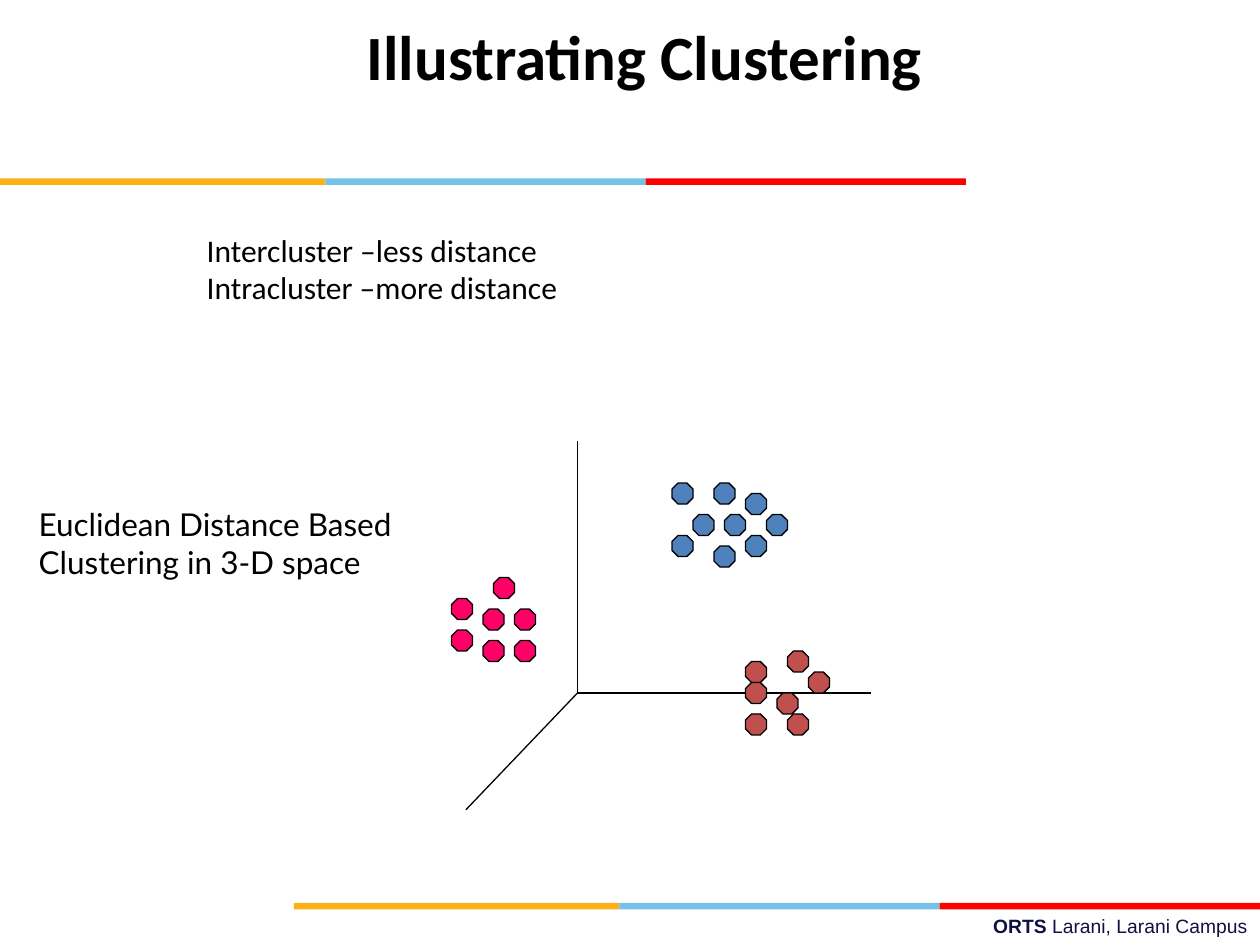
from pptx import Presentation
from pptx.dml.color import RGBColor
from pptx.enum.shapes import MSO_CONNECTOR, MSO_SHAPE
from pptx.enum.text import MSO_ANCHOR, PP_ALIGN
from pptx.oxml.ns import qn
from pptx.util import Pt
from lxml import etree

PX = 9525  # 96 px to the inch
STEP = 8  # grid step of the plot, in px
DOT = 2 * STEP
STRAIGHT = MSO_CONNECTOR.STRAIGHT
RECTANGLE, OCTAGON = MSO_SHAPE.RECTANGLE, MSO_SHAPE.OCTAGON
TOP, MIDDLE = MSO_ANCHOR.TOP, MSO_ANCHOR.MIDDLE
LEFT, CENTER, RIGHT = PP_ALIGN.LEFT, PP_ALIGN.CENTER, PP_ALIGN.RIGHT

COLORS = {
    "black": "000000", "navy": "101141",
    "gold": "FCB017", "sky": "76C2E5", "red": "FF0000",
    "blue": "4F81BD", "pink": "FF0066", "brick": "C0504D",
}
# Each cluster: dot positions as (column, row) on the plot grid
CLUSTERS = {
    "blue": [(23, 7), (26, 7), (25, 4), (25, 10), (30, 7), (28, 5),
             (21, 4), (28, 9), (21, 9)],
    "pink": [(0, 15), (3, 16), (3, 19), (6, 16), (4, 13), (6, 19), (0, 18)],
    "brick": [(28, 21), (34, 22), (31, 24), (28, 26), (32, 26), (28, 23),
              (32, 20)],
}


def color(name):
    return RGBColor.from_string(COLORS[name])


def emu(*lengths):
    return [length * PX for length in lengths]


def add_block(page, kind, box, fill, outlined=False):
    shape = page.shapes.add_shape(kind, *emu(*box))
    shape.shadow.inherit = False
    shape.fill.solid()
    shape.fill.fore_color.rgb = color(fill)
    if outlined:
        shape.line.color.rgb = color("black")
        shape.line.width = Pt(0.75)
    else:
        shape.line.fill.background()
    return shape


def add_text(page, box, lines, font, size, ink="black", bold=False,
             align=LEFT, anchor=TOP):
    """Each line is a list of (text, bold) spans or a plain string."""
    frame = page.shapes.add_textbox(*emu(*box)).text_frame
    frame.word_wrap = True
    frame.vertical_anchor = anchor
    for index, line in enumerate(lines):
        para = frame.add_paragraph() if index else frame.paragraphs[0]
        para.alignment = align
        para.font.name = font
        para.font.size = Pt(size)
        para.font.color.rgb = color(ink)
        para.font.bold = bold
        spans = [(line, bold)] if isinstance(line, str) else line
        for text, heavy in spans:
            span = para.add_run()
            span.text = text
            if heavy != bold:
                span.font.bold = heavy


def add_stripe(page, box):
    left, top, width, height = box
    first = 248
    rest = (width - first) // 2
    for name, part in (("gold", first), ("sky", rest), ("red", rest)):
        add_block(page, RECTANGLE, (left, top, part, height), name)
        left += part


def add_axis(page, start, end):
    axis = page.shapes.add_connector(STRAIGHT, *emu(*start, *end))
    axis.line.color.rgb = color("black")
    axis.line.width = Pt(0.75)
    etree.SubElement(axis._element.spPr, qn("a:effectLst"))


def add_plot(page, box):
    left, top, width, height = box
    origin = (left + 12 * STEP, top + 24 * STEP)
    # Axes: up, right and towards the viewer
    add_axis(page, (origin[0], top), origin)
    add_axis(page, origin, (left + width, origin[1]))
    add_axis(page, origin, (left + 11, top + height))
    # Dots
    for name, cells in CLUSTERS.items():
        for column, row in cells:
            place = (left + column * STEP, top + row * STEP, DOT, DOT)
            dot = add_block(page, OCTAGON, place, name, outlined=True)
            dot.adjustments[0] = 0.29


def add_clustering_slide(deck):
    page = deck.slides.add_slide(deck.slide_layouts[6])
    # Footer and stripes
    add_text(page, (344, 692, 616, 28),
             [[("ORTS ", True), ("Larani, Larani Campus", False)]],
             "Arial", 11, ink="navy", align=RIGHT)
    add_stripe(page, (224, 688, 736, 5))
    add_stripe(page, (0, 136, 736, 5))
    # Clusters in space, with caption
    add_plot(page, (344, 336, 320, 281))
    add_text(page, (20, 380, 293, 68),
             ["Euclidean Distance Based Clustering in 3-D space"], "Lato", 18)
    # Title and notes on distance
    add_text(page, (77, 12, 828, 60), ["Illustrating Clustering"],
             "Calibri", 36, bold=True, align=CENTER, anchor=MIDDLE)
    add_text(page, (148, 171, 452, 68),
             ["Intercluster –less distance", "Intracluster –more distance"],
             "Calibri", 18)


def main():
    deck = Presentation()
    deck.slide_width, deck.slide_height = emu(960, 720)
    add_clustering_slide(deck)
    deck.save("out.pptx")


if __name__ == "__main__":
    main()
